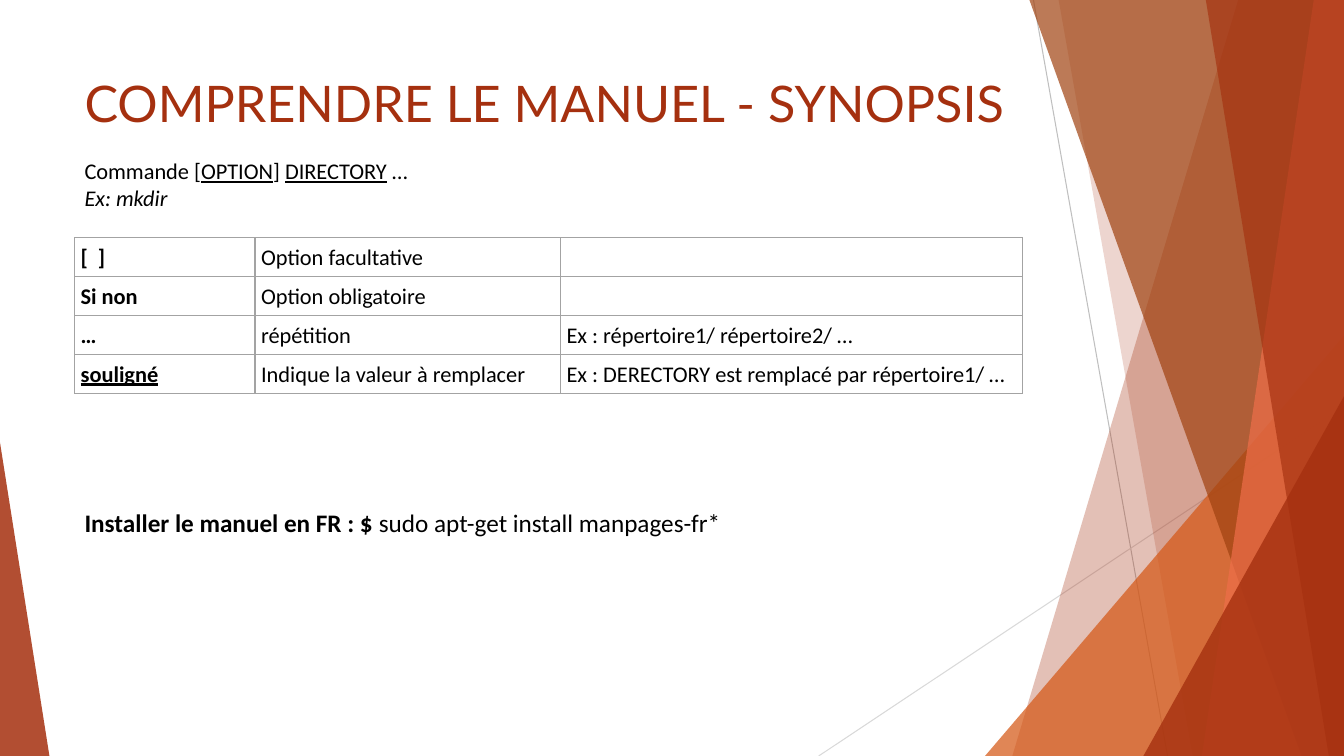
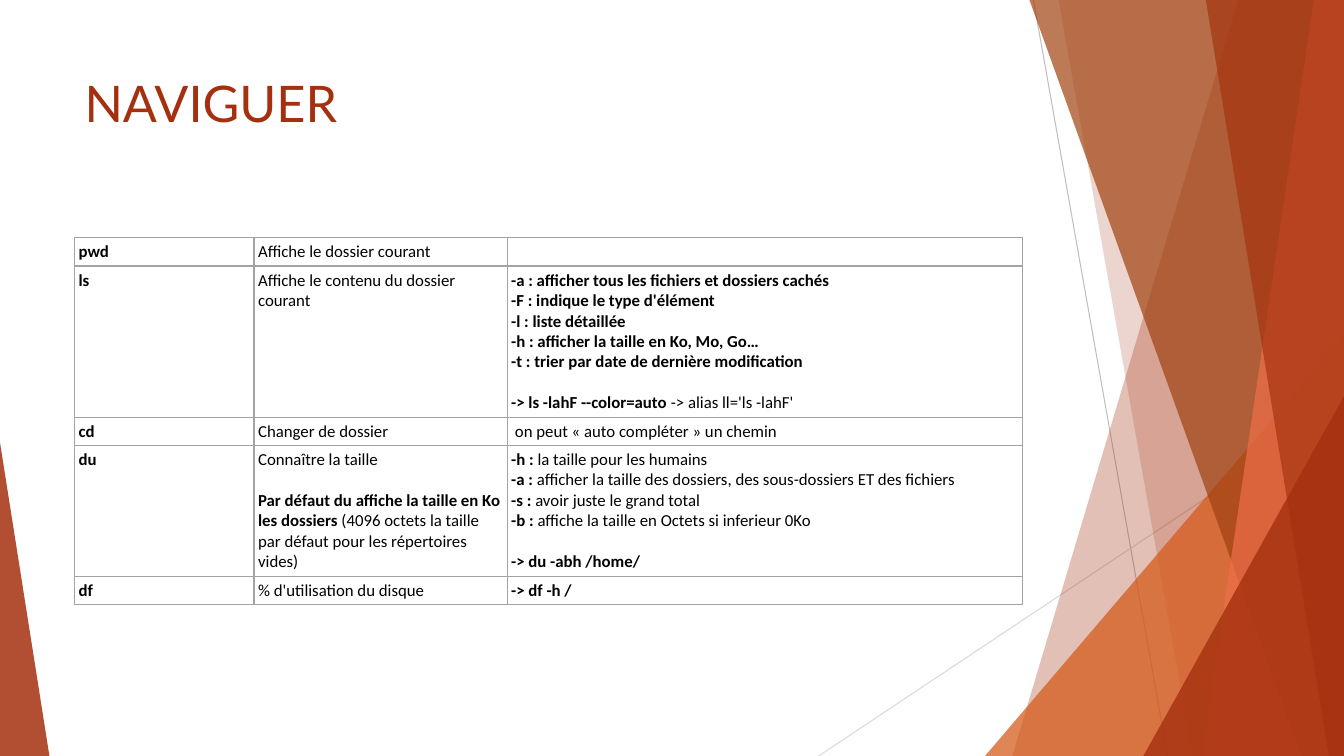
from dataclasses import dataclass

from lxml.etree import SubElement
from pptx import Presentation
from pptx.dml.color import RGBColor
from pptx.enum.shapes import MSO_CONNECTOR, MSO_SHAPE
from pptx.oxml.ns import qn
from pptx.util import Inches, Pt

COLOURS = {
    "title": "A5300F",
    "text": "000000",
    "border": "A3A3A3",
    "grey": "BFBFBF",
    "pale": "D9D9D9",
    "red": "A5300F",
    "orange": "D55816",
    "brown": "A04210",
    "coral": "EE6E4A",
}
WIDTH, HEIGHT = 13.33, 7.5
LEFT, CONTENT_WIDTH = 0.74, 9.4
TABLE_TOP = 2.36


@dataclass
class Line:
    runs: list
    gap: float = 0


def plain(text, gap=0):
    return Line([(text, "")], gap)


def bold(text, gap=0):
    return Line([(text, "b")], gap)


def lead(strong, rest, gap=0):
    return Line([(strong, "b"), (rest, "")], gap)


class Deck:
    def __init__(self):
        self.presentation = Presentation()
        self.presentation.slide_width = Inches(WIDTH)
        self.presentation.slide_height = Inches(HEIGHT)
        self.slide = None

    def colour(self, name):
        return RGBColor.from_string(COLOURS[name])

    def add_slide(self, title):
        layout = self.presentation.slide_layouts[6]
        self.slide = self.presentation.slides.add_slide(layout)
        self.decorate()
        self.text(0.67, CONTENT_WIDTH, 1.44, [plain(title)], 36, "Lato", "title")

    def decorate(self):
        self.line((10.25, 0), (11.58, HEIGHT), "grey")
        self.line((WIDTH, 4.03), (8.12, HEIGHT), "pale")
        self.band(12.28, 10.04, "red", 30)
        self.band(10.5, 11.83, "red", 20)
        self.triangle(9.77, 3.33, 3.56, 1, "orange", 72)
        self.band(10.21, 12.91, "brown", 70)
        self.band(13.03, 11.92, "coral", 70)
        self.band(11.96, 13.18, "red", 65)
        self.triangle(11.34, 3.93, 1.99, 1, "red", 80)
        self.triangle(0, 4.39, 0.49, 0, "red", 85)

    def line(self, start, end, colour):
        points = [Inches(value) for value in (*start, *end)]
        connector = self.slide.shapes.add_connector(MSO_CONNECTOR.STRAIGHT, *points)
        connector.line.color.rgb = self.colour(colour)
        connector.line.width = Pt(0.75)
        SubElement(connector.element.spPr, qn("a:effectLst"))

    def band(self, top_x, bottom_x, colour, opacity):
        builder = self.slide.shapes.build_freeform(Inches(top_x), 0)
        corners = [(WIDTH, 0), (WIDTH, HEIGHT), (bottom_x, HEIGHT)]
        builder.add_line_segments([(Inches(x), Inches(y)) for x, y in corners])
        self.paint(builder.convert_to_shape(), colour, opacity)

    def triangle(self, left, top, width, apex, colour, opacity):
        shape = self.slide.shapes.add_shape(
            MSO_SHAPE.ISOSCELES_TRIANGLE,
            Inches(left), Inches(top), Inches(width), Inches(HEIGHT - top))
        shape.adjustments[0] = apex
        self.paint(shape, colour, opacity)

    def paint(self, shape, colour, opacity):
        shape.shadow.inherit = False
        shape.line.fill.background()
        shape.fill.solid()
        shape.fill.fore_color.rgb = self.colour(colour)
        fill_colour = shape.element.spPr.find(qn("a:solidFill"))[0]
        SubElement(fill_colour, qn("a:alpha"), val=str(opacity * 1000))

    def text(self, top, width, height, lines, size, font="Calibri", colour="text"):
        box = self.slide.shapes.add_textbox(
            Inches(LEFT), Inches(top), Inches(width), Inches(height))
        box.text_frame.word_wrap = True
        self.fill_frame(box.text_frame, lines, size, font, colour)

    def fill_frame(self, frame, lines, size, font="Calibri", colour="text"):
        for index, line in enumerate(lines):
            paragraph = frame.add_paragraph() if index else frame.paragraphs[0]
            paragraph.space_before = Pt(line.gap)
            paragraph.font.name = font
            paragraph.font.size = Pt(size)
            paragraph.font.color.rgb = self.colour(colour)
            for text, style in line.runs:
                run = paragraph.add_run()
                run.text = text
                target = paragraph.font if len(line.runs) == 1 else run.font
                target.bold = "b" in style
                target.italic = "i" in style
                target.underline = "u" in style

    def table(self, column_widths, row_heights, rows, size, margin):
        table = self.slide.shapes.add_table(
            len(rows), len(column_widths), Inches(LEFT), Inches(TABLE_TOP),
            Inches(CONTENT_WIDTH), Inches(sum(row_heights))).table
        table.first_row = table.horz_banding = False
        for column, width in zip(table.columns, column_widths):
            column.width = Inches(width)
        for row, height, contents in zip(table.rows, row_heights, rows):
            row.height = Inches(height)
            for cell, lines in zip(row.cells, contents):
                self.frame_cell(cell, margin)
                self.fill_frame(cell.text_frame, lines or [Line([])], size)

    def frame_cell(self, cell, margin):
        cell.margin_left = cell.margin_right = Inches(margin)
        cell.margin_top = cell.margin_bottom = Inches(margin)
        properties = cell._tc.get_or_add_tcPr()
        for side in "LRTB":
            border = SubElement(properties, qn(f"a:ln{side}"), w=str(Pt(1)))
            fill = SubElement(border, qn("a:solidFill"))
            SubElement(fill, qn("a:srgbClr"), val=COLOURS["border"])
        cell.fill.background()


def add_synopsis(deck):
    deck.add_slide("COMPRENDRE LE MANUEL - SYNOPSIS")
    rows = [
        [[bold("[  ]")], [plain("Option facultative")], []],
        [[bold("Si non")], [plain("Option obligatoire")], []],
        [[bold("…")], [plain("répétition")],
         [plain("Ex : répertoire1/ répertoire2/ …")]],
        [[Line([("souligné", "bu")])], [plain("Indique la valeur à remplacer")],
         [plain("Ex : DERECTORY est remplacé par répertoire1/ …")]],
    ]
    deck.table([1.79, 3.03, 4.58], [0.38] * len(rows), rows, 16, 0.06)
    usage = [("Commande [", ""), ("OPTION", "u"), ("] ", ""),
             ("DIRECTORY", "u"), (" …", "")]
    deck.text(1.51, 3.44, 0.65, [Line(usage), Line([("Ex: mkdir", "i")])], 16)
    deck.text(4.98, 6.67, 0.4, [
        lead("Installer le manuel en FR : $ ", "sudo apt-get install manpages-fr*")], 18)


def add_navigation(deck):
    deck.add_slide("NAVIGUER")
    gap = 14.6
    rows = [
        [[bold("pwd")], [plain("Affiche le dossier courant")], []],
        [[bold("ls")], [plain("Affiche le contenu du dossier courant")], [
            bold("-a : afficher tous les fichiers et dossiers cachés"),
            bold("-F : indique le type d'élément"),
            bold("-l : liste détaillée"),
            bold("-h : afficher la taille en Ko, Mo, Go…"),
            bold("-t : trier par date de dernière modification"),
            lead("-> ls -lahF --color=auto ", "-> alias ll='ls -lahF'", gap)]],
        [[bold("cd")], [plain("Changer de dossier")],
         [plain(" on peut « auto compléter » un chemin")]],
        [[bold("du")], [
            plain("Connaître la taille"),
            lead("Par défaut du affiche la taille en Ko les dossiers ",
                 "(4096 octets la taille par défaut pour les répertoires vides)", gap)], [
            lead("-h : ", "la taille pour les humains"),
            lead("-a : ", "afficher la taille des dossiers, des sous-dossiers ET des fichiers"),
            lead("-s : ", "avoir juste le grand total"),
            lead("-b :", " affiche la taille en Octets si inferieur 0Ko"),
            bold("-> du -abh /home/", gap)]],
        [[bold("df")], [plain("% d'utilisation du disque")], [bold("-> df -h /")]],
    ]
    deck.table([1.78, 2.51, 5.11], [0.28, 1.5, 0.28, 1.3, 0.28], rows, 12, 0.04)


def main():
    deck = Deck()
    add_synopsis(deck)
    add_navigation(deck)
    deck.presentation.save("out.pptx")


if __name__ == "__main__":
    main()
